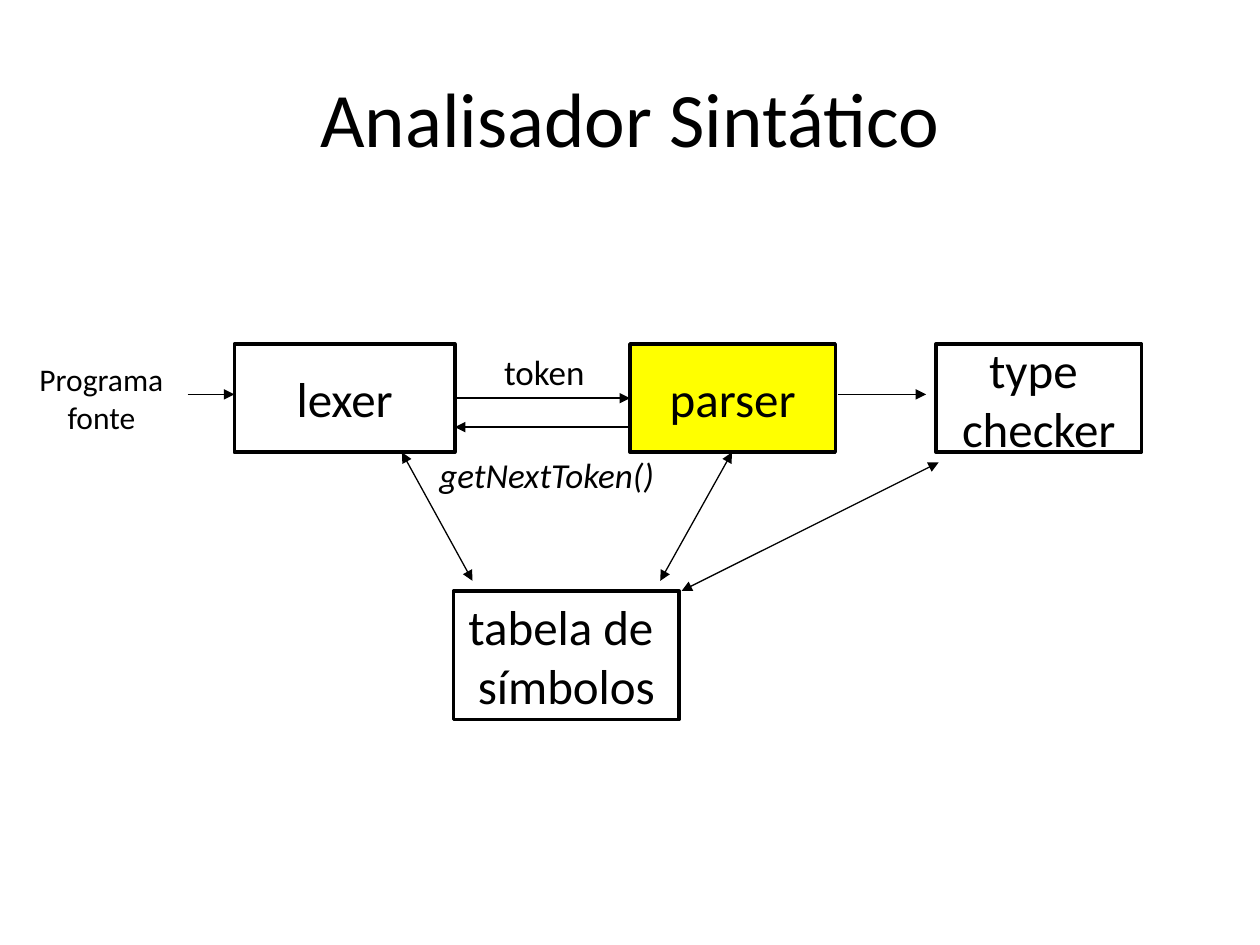
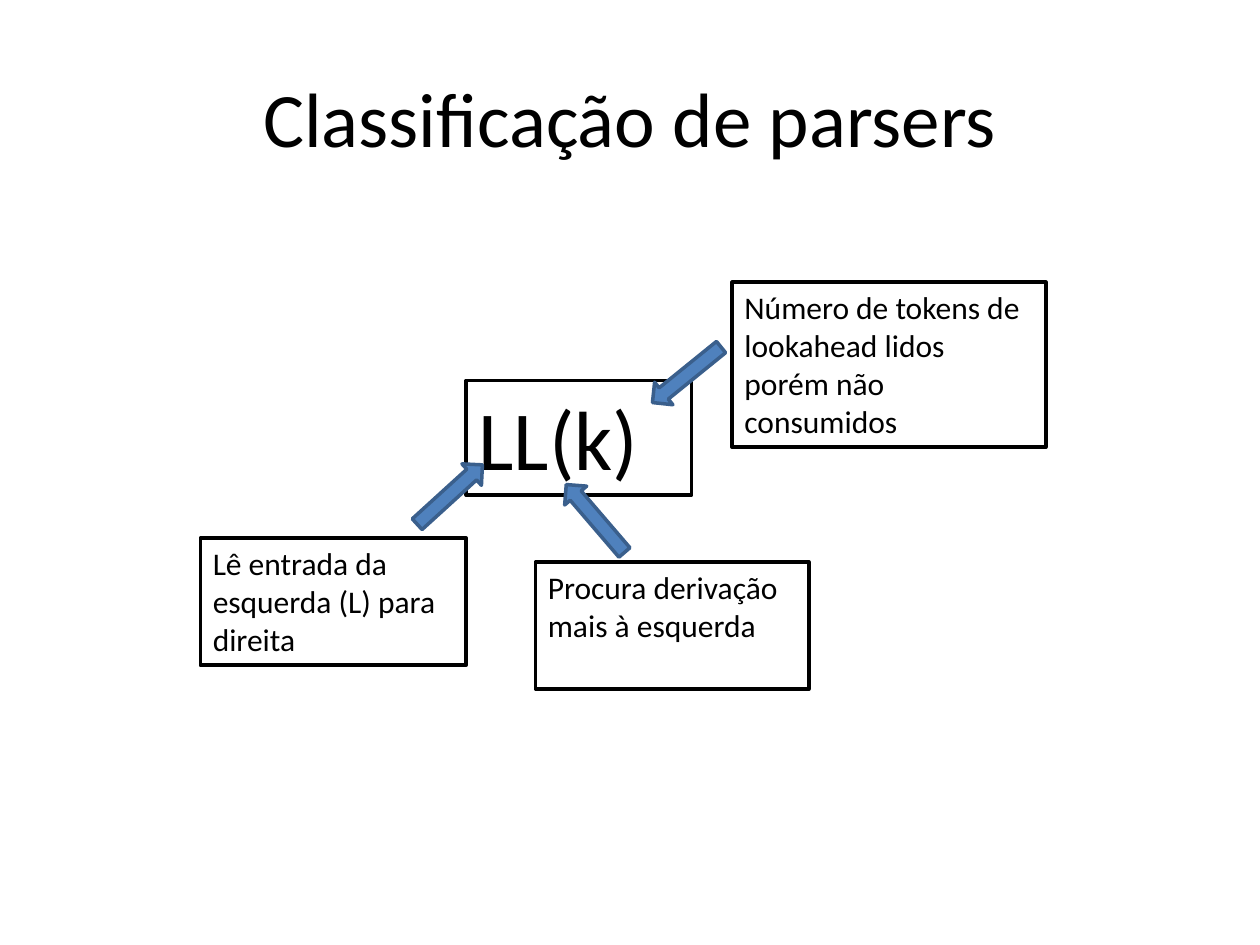
from dataclasses import dataclass

from lxml import etree
from pptx import Presentation
from pptx import util as u
from pptx.dml.color import RGBColor
from pptx.enum import shapes, text
from pptx.oxml import ns


@dataclass(frozen=True)
class Theme:
    font: str = "Calibri"
    ink: str = "000000"
    paper: str = "FFFFFF"
    highlight: str = "FFFF00"
    arrow_fill: str = "4F81BD"
    arrow_edge: str = "3A5F8C"
    title: int = 44
    formula: int = 48
    stage: int = 28
    label: int = 20
    note: int = 18
    border: float = 2
    flow: float = 0.75


class Deck:
    """Holds the theme and the slide being drawn."""

    def __init__(self, theme):
        self.theme = theme
        self.presentation = Presentation()
        self.presentation.slide_width = u.Inches(10)
        self.presentation.slide_height = u.Inches(7.5)
        self.slide = None

    def new_slide(self, title):
        blank = self.presentation.slide_layouts[6]
        self.slide = self.presentation.slides.add_slide(blank)
        self.label((0.5, 0.3, 9, 1.25), title, self.theme.title,
                   anchor=text.MSO_ANCHOR.MIDDLE)

    def add_text(self, shape, paragraphs, size, align, anchor, wrap=True, italic=False):
        """Fill a shape; a list gives paragraphs, a newline gives a line break."""
        frame = shape.text_frame
        frame.word_wrap = wrap
        frame.vertical_anchor = anchor
        if isinstance(paragraphs, str):
            paragraphs = [paragraphs]
        for index, content in enumerate(paragraphs):
            paragraph = frame.add_paragraph() if index else frame.paragraphs[0]
            paragraph.alignment = align
            for row, line in enumerate(content.split("\n")):
                if row:
                    paragraph.add_line_break()
                run = paragraph.add_run()
                run.text = line
                run.font.name = self.theme.font
                run.font.size = u.Pt(size)
                run.font.italic = italic
                run.font.color.rgb = RGBColor.from_string(self.theme.ink)

    def label(self, box, content, size, anchor=text.MSO_ANCHOR.TOP, **options):
        shape = self.slide.shapes.add_textbox(*map(u.Inches, box))
        self.add_text(shape, content, size, text.PP_ALIGN.CENTER, anchor, **options)

    def block(self, kind, box, fill, edge):
        shape = self.slide.shapes.add_shape(kind, *map(u.Inches, box))
        shape.shadow.inherit = False
        if fill:
            shape.fill.solid()
            shape.fill.fore_color.rgb = RGBColor.from_string(fill)
        else:
            shape.fill.background()
        shape.line.color.rgb = RGBColor.from_string(edge)
        shape.line.width = u.Pt(self.theme.border)
        return shape

    def stage(self, box, content, fill=None):
        shape = self.block(shapes.MSO_SHAPE.RECTANGLE, box,
                           fill or self.theme.paper, self.theme.ink)
        self.add_text(shape, content, self.theme.stage, text.PP_ALIGN.CENTER,
                      text.MSO_ANCHOR.MIDDLE, wrap=False)

    def note(self, box, content, size, fill=None):
        shape = self.block(shapes.MSO_SHAPE.RECTANGLE, box, fill, self.theme.ink)
        self.add_text(shape, content, size, text.PP_ALIGN.LEFT, text.MSO_ANCHOR.TOP)

    def pointer(self, box, rotation):
        shape = self.block(shapes.MSO_SHAPE.RIGHT_ARROW, box,
                           self.theme.arrow_fill, self.theme.arrow_edge)
        shape.rotation = rotation

    def flow(self, start, end, both_ways=False):
        connector = self.slide.shapes.add_connector(
            shapes.MSO_CONNECTOR.STRAIGHT, *map(u.Inches, (*start, *end)))
        connector.line.color.rgb = RGBColor.from_string(self.theme.ink)
        connector.line.width = u.Pt(self.theme.flow)
        properties = connector.element.spPr
        line = properties.find(ns.qn("a:ln"))
        for tag in ("a:headEnd", "a:tailEnd") if both_ways else ("a:tailEnd",):
            etree.SubElement(line, ns.qn(tag), type="triangle")
        etree.SubElement(properties, ns.qn("a:effectLst"))


def draw_syntax_analyser(deck):
    theme = deck.theme
    deck.new_slide("Analisador Sintático")

    # Compiler stages
    top, height = 2.73, 0.86
    bottom = top + height
    lexer_left, lexer_right, parser_left = 1.86, 3.61, 5
    deck.stage((lexer_left, top, lexer_right - lexer_left, height), "lexer")
    deck.stage((parser_left, top, 1.63, height), "parser", theme.highlight)
    deck.stage((7.43, top, 1.63, height), ["type ", "checker"])
    deck.stage((3.6, 4.69, 1.79, 1.02), "tabela de \nsímbolos")

    # Labels
    deck.label((0.21, 2.81, 1.19, 0.71), "Programa\nfonte", theme.note, wrap=False)
    deck.label((3.84, top, 0.96, 0.44), "token", theme.label)
    deck.label((3.21, 3.55, 2.26, 0.44), "getNextToken()", theme.label, italic=True)

    # Flow between stages
    deck.flow((1.49, 3.13), (lexer_left, 3.13))
    deck.flow((lexer_right, 3.16), (parser_left, 3.16))
    deck.flow((parser_left, 3.39), (lexer_right, 3.39))
    deck.flow((6.65, 3.13), (7.35, 3.13))

    # Access to the symbol table
    deck.flow((3.75, 4.61), (3.19, bottom), both_ways=True)
    deck.flow((5.24, 4.61), (5.81, bottom), both_ways=True)
    deck.flow((5.41, 4.69), (7.45, 3.67), both_ways=True)


def draw_parser_classes(deck):
    theme = deck.theme
    deck.new_slide("Classificação de parsers")

    # Formula and the meaning of each part
    deck.note((3.7, 3.02, 1.79, 0.91), "LL(k)", theme.formula, theme.paper)
    explanations = [
        ((1.59, 4.27, 2.11, 1.01), "Lê entrada da esquerda (L) para direita",
         (3.22, 3.81, 0.7, 0.23), 317.7),
        ((4.25, 4.46, 2.17, 1.01), "Procura derivação mais à esquerda",
         (4.37, 4, 0.71, 0.23), 229.4),
        ((5.81, 2.24, 2.49, 1.31),
         "Número de tokens de lookahead lidos porém não consumidos",
         (5.1, 2.86, 0.7, 0.23), 141),
    ]
    for note_box, content, pointer_box, rotation in explanations:
        deck.note(note_box, content, theme.note)
        deck.pointer(pointer_box, rotation)


def main():
    deck = Deck(Theme())
    draw_syntax_analyser(deck)
    draw_parser_classes(deck)
    deck.presentation.save("out.pptx")


if __name__ == "__main__":
    main()
